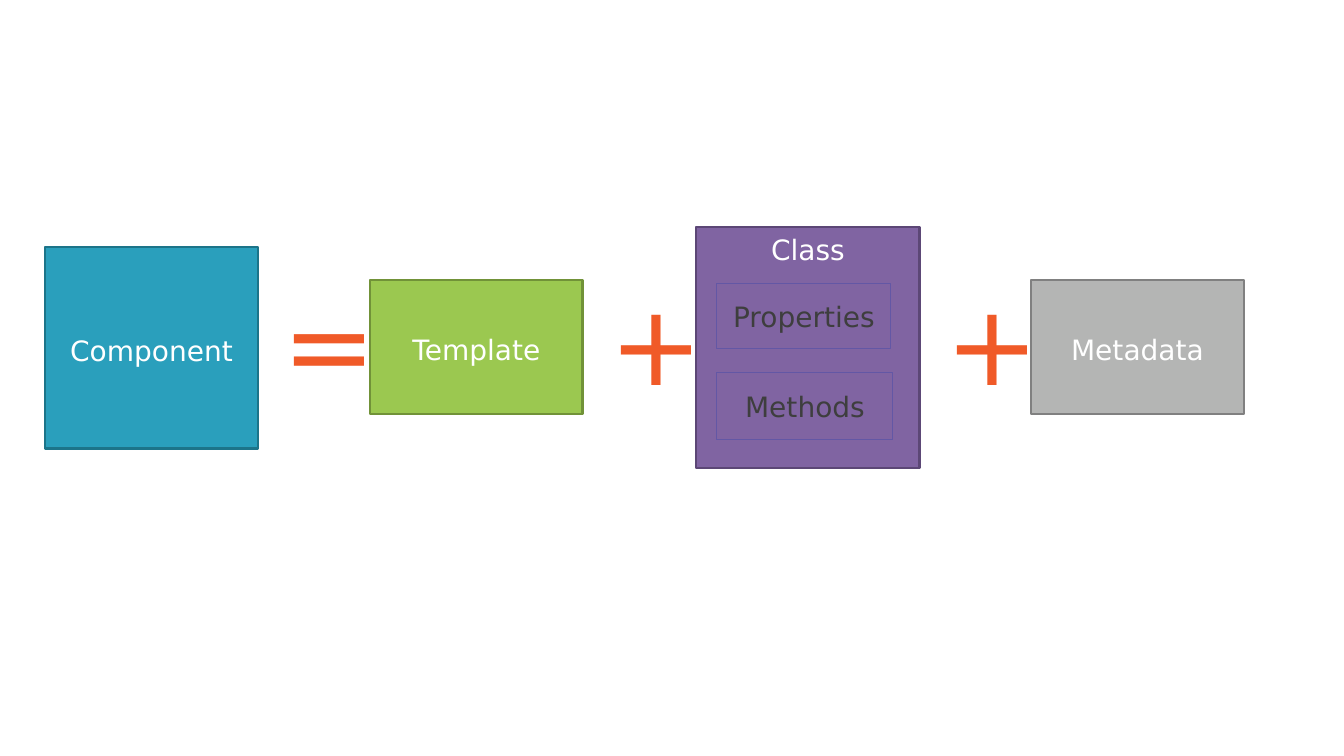
"""Build the slide that splits a component into template, class and metadata."""
import pptx
import pptx.dml.color
import pptx.enum.shapes
import pptx.enum.text
import pptx.util

EMU_PER_PX = 914400 / 100.8
FONT = "DejaVu Sans"
ANCHOR = pptx.enum.text.MSO_ANCHOR
ALIGN = pptx.enum.text.PP_ALIGN


def px(length):
    """Turn pixels into EMU."""
    return pptx.util.Emu(round(length * EMU_PER_PX))


def color(hex_code):
    """Turn a hex string into a colour."""
    return pptx.dml.color.RGBColor.from_string(hex_code)


def write(frame, words, size, ink, anchor, align, top_inset):
    """Put one formatted line of words into a text frame."""
    frame.word_wrap = True
    frame.margin_left = frame.margin_right = frame.margin_bottom = 0
    frame.margin_top = px(top_inset)
    frame.vertical_anchor = anchor
    frame.text = words
    line = frame.paragraphs[0]
    line.alignment = align
    font = line.runs[0].font
    font.name = FONT
    font.size = pptx.util.Pt(size)
    font.color.rgb = color(ink)


def add_block(slide, words, bounds, fill, border, anchor=ANCHOR.MIDDLE,
              ink="FFFFFF", border_width=2.04, top_inset=5):
    """Draw a bordered rectangle with a centred label."""
    block = slide.shapes.add_shape(
        pptx.enum.shapes.MSO_SHAPE.RECTANGLE, *map(px, bounds))
    block.shadow.inherit = False
    if fill:
        block.fill.solid()
        block.fill.fore_color.rgb = color(fill)
    else:
        block.fill.background()
    block.line.color.rgb = color(border)
    block.line.width = pptx.util.Pt(border_width)
    write(block.text_frame, words, 20, ink, anchor, ALIGN.CENTER, top_inset)


def add_member(slide, words, bounds):
    """Draw a thinly outlined member of the class."""
    add_block(slide, words, bounds, None, "6357A5",
              ink="3E3E3E", border_width=0.72, top_inset=0)


def add_operator(slide, sign, left):
    """Write a large operator sign between two blocks."""
    operator = slide.shapes.add_textbox(px(left), px(273), px(74), px(137))
    write(operator.text_frame, sign, 80, "F05A28", ANCHOR.TOP, ALIGN.LEFT, 1)


def main():
    """Build and save the slide."""
    deck = pptx.Presentation()
    deck.slide_width, deck.slide_height = px(1344), px(756)
    slide = deck.slides.add_slide(deck.slide_layouts[6])

    add_block(slide, "Component", (45, 247, 213, 202), "2A9FBC", "1C7489")
    add_block(slide, "Template", (370, 280, 213, 134), "9BC850", "719238")
    add_block(slide, "Class", (696, 227, 224, 241), "8064A2", "5C4776",
              anchor=ANCHOR.TOP)
    add_block(slide, "Metadata", (1031, 280, 213, 134), "B4B5B4", "808080")

    add_member(slide, "Properties", (717, 284, 174, 65))
    add_member(slide, "Methods", (717, 373, 176, 67))

    for sign, left in (("=", 283), ("+", 609), ("+", 945)):
        add_operator(slide, sign, left)

    deck.save("out.pptx")


if __name__ == "__main__":
    main()
